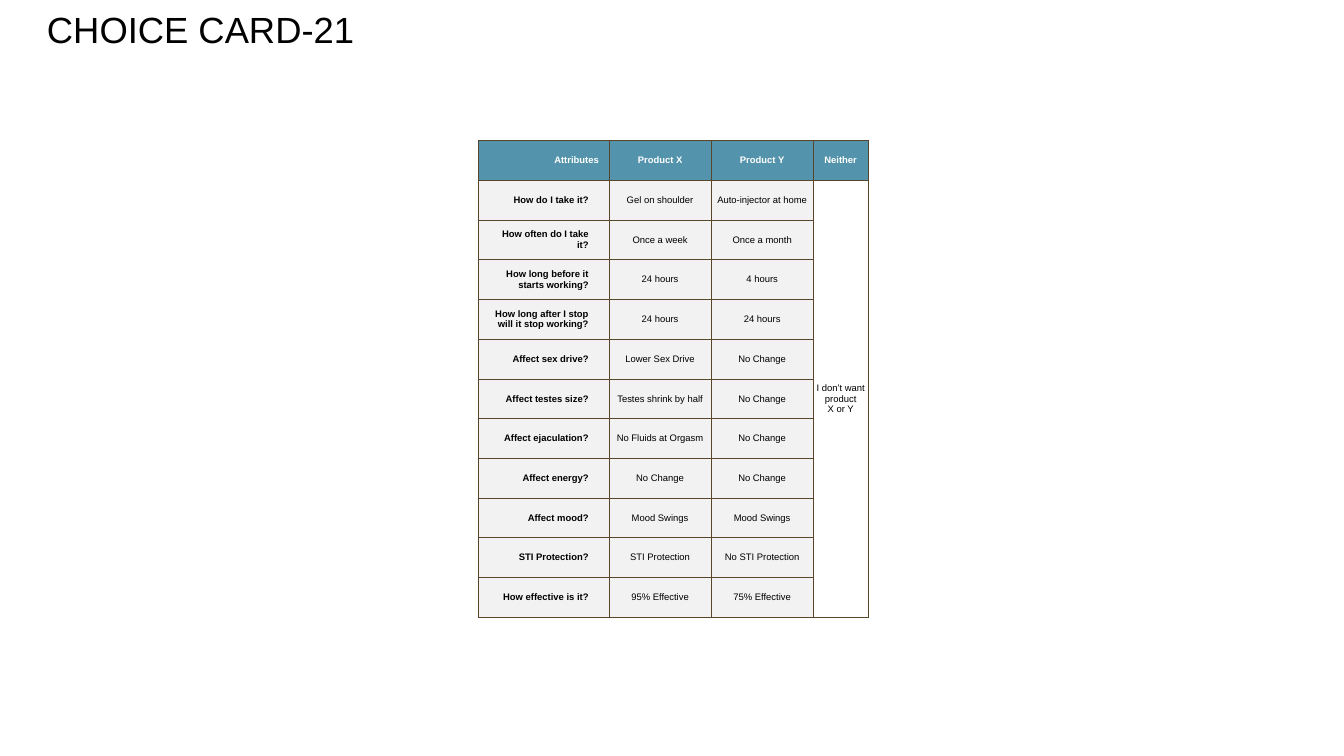
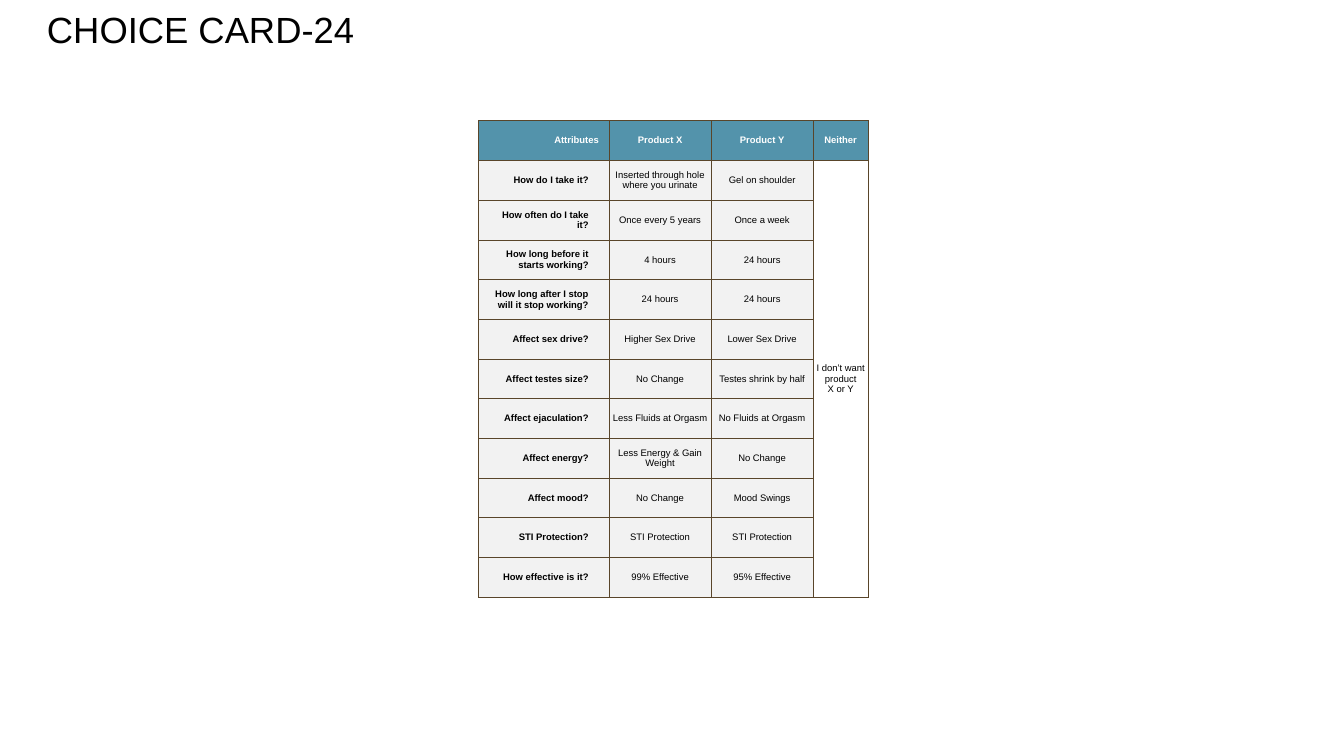
from lxml import etree
from pptx import Presentation
from pptx.dml.color import RGBColor
from pptx.enum.text import MSO_ANCHOR, PP_ALIGN
from pptx.oxml.ns import qn
from pptx.util import Inches, Pt

MIDDLE = MSO_ANCHOR.MIDDLE
CENTER, RIGHT = PP_ALIGN.CENTER, PP_ALIGN.RIGHT
FONT = "Arial"
BLACK, WHITE = "000000", "FFFFFF"
TEAL, GREY, BROWN = "5393AB", "F2F2F2", "59452A"

COL_WIDTHS = [2.3, 1.8, 1.8, 0.97]
ROW_HEIGHT = 0.7
TABLE_LEFT = 8.44
# Cell insets: left, top, right, bottom
HEADER_INSETS = (0.18, 0.09, 0.18, 0.09)
QUESTION_INSETS = (0.18, 0.09, 0.36, 0.09)
ANSWER_INSETS = (0.04, 0.02, 0.04, 0.02)

HEADERS = ["Attributes", "Product X", "Product Y", "Neither"]
QUESTIONS = [
    "How do I take it?",
    "How often do I take it?",
    "How long before it starts working?",
    "How long after I stop will it stop working?",
    "Affect sex drive?",
    "Affect testes size?",
    "Affect ejaculation?",
    "Affect energy?",
    "Affect mood?",
    "STI Protection?",
    "How effective is it?",
]
NEITHER = "I don’t want product\nX or Y"

# Title, table top, answers for products X and Y
CARDS = [
    ("CHOICE CARD-21", 2.48, [
        ("Gel on shoulder", "Auto-injector at home"),
        ("Once a week", "Once a month"),
        ("24 hours", "4 hours"),
        ("24 hours", "24 hours"),
        ("Lower Sex Drive", "No Change"),
        ("Testes shrink by half", "No Change"),
        ("No Fluids at Orgasm", "No Change"),
        ("No Change", "No Change"),
        ("Mood Swings", "Mood Swings"),
        ("STI Protection", "No STI Protection"),
        ("95% Effective", "75% Effective"),
    ]),
    ("CHOICE CARD-24", 2.13, [
        ("Inserted through hole where you urinate", "Gel on shoulder"),
        ("Once every 5 years", "Once a week"),
        ("4 hours", "24 hours"),
        ("24 hours", "24 hours"),
        ("Higher Sex Drive", "Lower Sex Drive"),
        ("No Change", "Testes shrink by half"),
        ("Less Fluids at Orgasm", "No Fluids at Orgasm"),
        ("Less Energy & Gain Weight", "No Change"),
        ("No Change", "Mood Swings"),
        ("STI Protection", "STI Protection"),
        ("99% Effective", "95% Effective"),
    ]),
]


def style_font(font, size, color, bold=False):
    font.name, font.size, font.bold = FONT, Pt(size), bold
    font.color.rgb = RGBColor.from_string(color)


def fill_cell(cell, text, fill, color, bold, align, insets):
    """Give a cell its borders, fill, insets and text."""
    tc_pr = cell._tc.get_or_add_tcPr()
    for side in ("a:lnL", "a:lnR", "a:lnT", "a:lnB"):
        ln = etree.SubElement(tc_pr, qn(side), w=str(Pt(1)))
        solid = etree.SubElement(ln, qn("a:solidFill"))
        etree.SubElement(solid, qn("a:srgbClr"), val=BROWN)
    cell.fill.solid()
    cell.fill.fore_color.rgb = RGBColor.from_string(fill)
    cell.vertical_anchor = MIDDLE
    (cell.margin_left, cell.margin_top,
     cell.margin_right, cell.margin_bottom) = map(Inches, insets)
    cell.text = text
    for p in cell.text_frame.paragraphs:
        p.alignment = align
        style_font(p.font, 12, color, bold)


prs = Presentation()
prs.slide_width, prs.slide_height = Inches(23.7), Inches(13.33)

for title, table_top, answers in CARDS:
    s = prs.slides.add_slide(prs.slide_layouts[6])

    tf = s.shapes.add_textbox(Inches(0.73), Inches(0.42), Inches(18.05), Inches(0.74)).text_frame
    tf.word_wrap = True
    p = tf.paragraphs[0]
    p.text = title
    p.line_spacing = Pt(30.7)
    style_font(p.font, 46.2, BLACK)

    rows = [HEADERS]
    for i, (question, pair) in enumerate(zip(QUESTIONS, answers)):
        rows.append([question, *pair, NEITHER if i == 0 else ""])

    table = s.shapes.add_table(
        len(rows), len(COL_WIDTHS), Inches(TABLE_LEFT), Inches(table_top),
        Inches(sum(COL_WIDTHS)), Inches(ROW_HEIGHT * len(rows))).table
    table.first_row = table.horz_banding = False
    for column, width in zip(table.columns, COL_WIDTHS):
        column.width = Inches(width)

    for r, row in enumerate(rows):
        table.rows[r].height = Inches(ROW_HEIGHT)
        for c, text in enumerate(row):
            align = RIGHT if c == 0 else CENTER
            if r == 0:
                look = TEAL, WHITE, True, align, HEADER_INSETS
            elif c == 0:
                look = GREY, BLACK, True, align, QUESTION_INSETS
            else:
                look = WHITE if c == 3 else GREY, BLACK, False, align, ANSWER_INSETS
            fill_cell(table.cell(r, c), text, *look)
    table.cell(1, 3).merge(table.cell(len(rows) - 1, 3))

prs.save("out.pptx")
